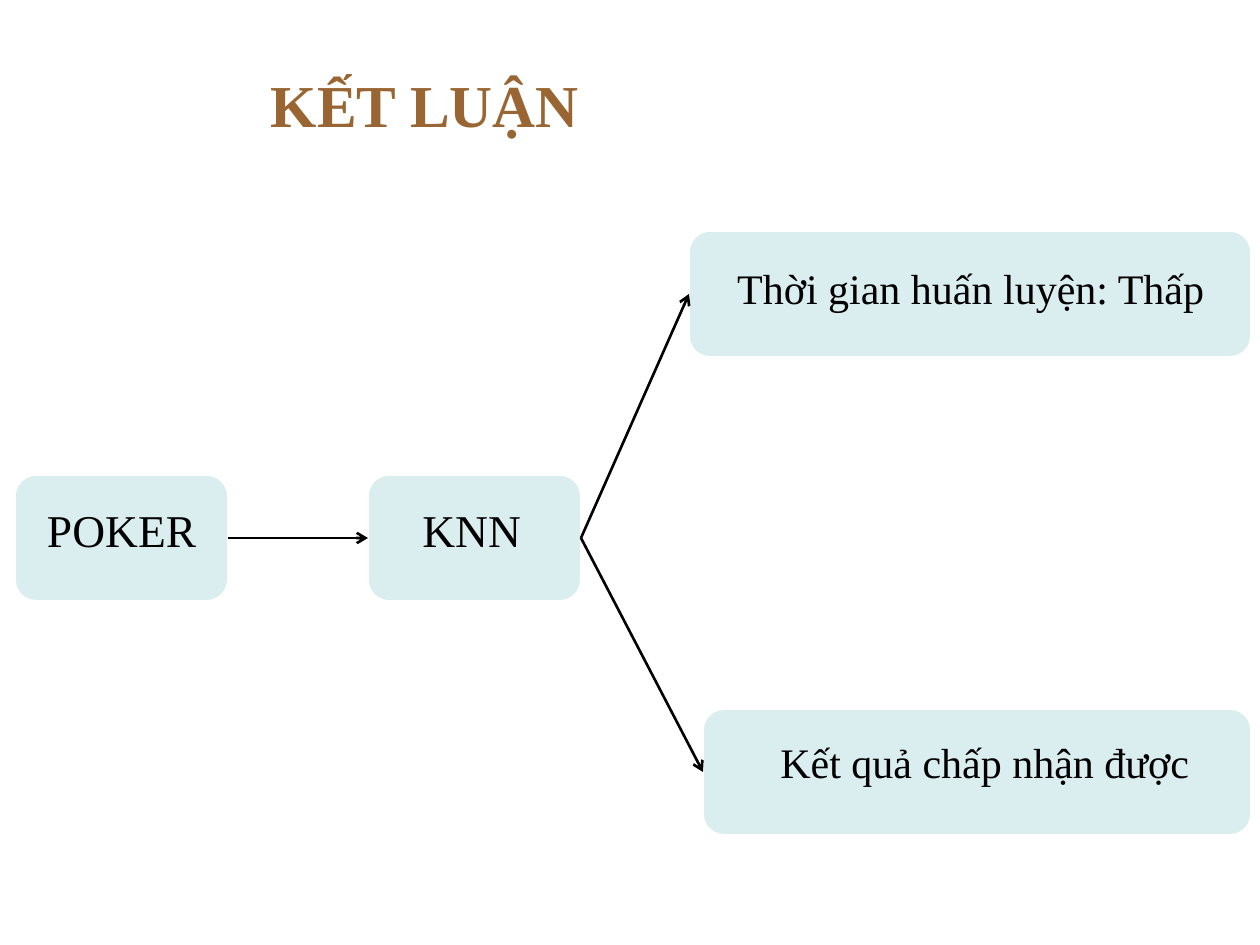
from dataclasses import dataclass

from lxml import etree
from pptx import Presentation, util as u
from pptx.dml.color import RGBColor
from pptx.enum import shapes, text
from pptx.oxml.ns import qn

PX = 914400 / 126
CARD_HEIGHT = 126
LEFT_SITE, RIGHT_SITE = 1, 3


@dataclass(frozen=True)
class Theme:
    font: str = "Times New Roman"
    heading: str = "996633"
    ink: str = "000000"
    card: str = "DAEDEF"
    border: str = "FFFFFF"
    heading_size: int = 34
    node_size: int = 26
    finding_size: int = 24
    border_width: float = 1
    arrow_width: float = 1.5


def px(length):
    return u.Emu(round(length * PX))


def rgb(color):
    return RGBColor.from_string(color)


class Diagram:
    """Draws the parts of a flow diagram on one slide in one theme."""

    def __init__(self, slide, theme):
        self.shapes = slide.shapes
        self.theme = theme

    def label(self, box, words, size, color, align=text.PP_ALIGN.LEFT,
              anchor=text.MSO_ANCHOR.TOP, bold=False, inset=13):
        frame = self.shapes.add_textbox(*map(px, box)).text_frame
        frame.word_wrap = True
        frame.vertical_anchor = anchor
        frame.margin_left = px(inset)
        paragraph = frame.paragraphs[0]
        paragraph.alignment = align
        run = paragraph.add_run()
        run.text = words
        run.font.name = self.theme.font
        run.font.size = u.Pt(size)
        run.font.bold = bold
        run.font.color.rgb = rgb(color)

    def title(self, box, words):
        self.label(box, words, self.theme.heading_size, self.theme.heading,
                   anchor=text.MSO_ANCHOR.MIDDLE, bold=True, inset=28)

    def card(self, left, top, width, words, label_box, size,
             align=text.PP_ALIGN.CENTER):
        card = self.shapes.add_shape(
            shapes.MSO_SHAPE.ROUNDED_RECTANGLE,
            *map(px, (left, top, width, CARD_HEIGHT)))
        card.shadow.inherit = False
        card.fill.solid()
        card.fill.fore_color.rgb = rgb(self.theme.card)
        card.line.color.rgb = rgb(self.theme.border)
        card.line.width = u.Pt(self.theme.border_width)
        self.label(label_box, words, size, self.theme.ink, align)
        return card

    def arrow(self, source, target):
        arrow = self.shapes.add_connector(
            shapes.MSO_CONNECTOR.STRAIGHT, 0, 0, 0, 0)
        arrow.begin_connect(source, RIGHT_SITE)
        arrow.end_connect(target, LEFT_SITE)
        arrow.line.color.rgb = rgb(self.theme.ink)
        arrow.line.width = u.Pt(self.theme.arrow_width)
        etree.SubElement(arrow.line._get_or_add_ln(), qn("a:tailEnd"), type="arrow")
        etree.SubElement(arrow._element.spPr, qn("a:effectLst"))


def main():
    deck = Presentation()
    deck.slide_width, deck.slide_height = px(1260), px(945)
    theme = Theme()
    diagram = Diagram(deck.slides.add_slide(deck.slide_layouts[6]), theme)

    diagram.title((243, 39, 1011, 130), "KẾT LUẬN")
    dataset = diagram.card(15, 475, 213, "POKER", (34, 496, 183, 71),
                           theme.node_size, text.PP_ALIGN.LEFT)
    method = diagram.card(368, 475, 213, "KNN", (384, 496, 175, 71),
                          theme.node_size)
    diagram.arrow(dataset, method)

    findings = [
        (689, 231, 562, "Thời gian huấn luyện: Thấp", (711, 256, 519, 73)),
        (703, 709, 548, "Kết quả chấp nhận được", (725, 730, 519, 73)),
    ]
    for finding in findings:
        diagram.arrow(method, diagram.card(*finding, theme.finding_size))

    deck.save("out.pptx")


if __name__ == "__main__":
    main()
